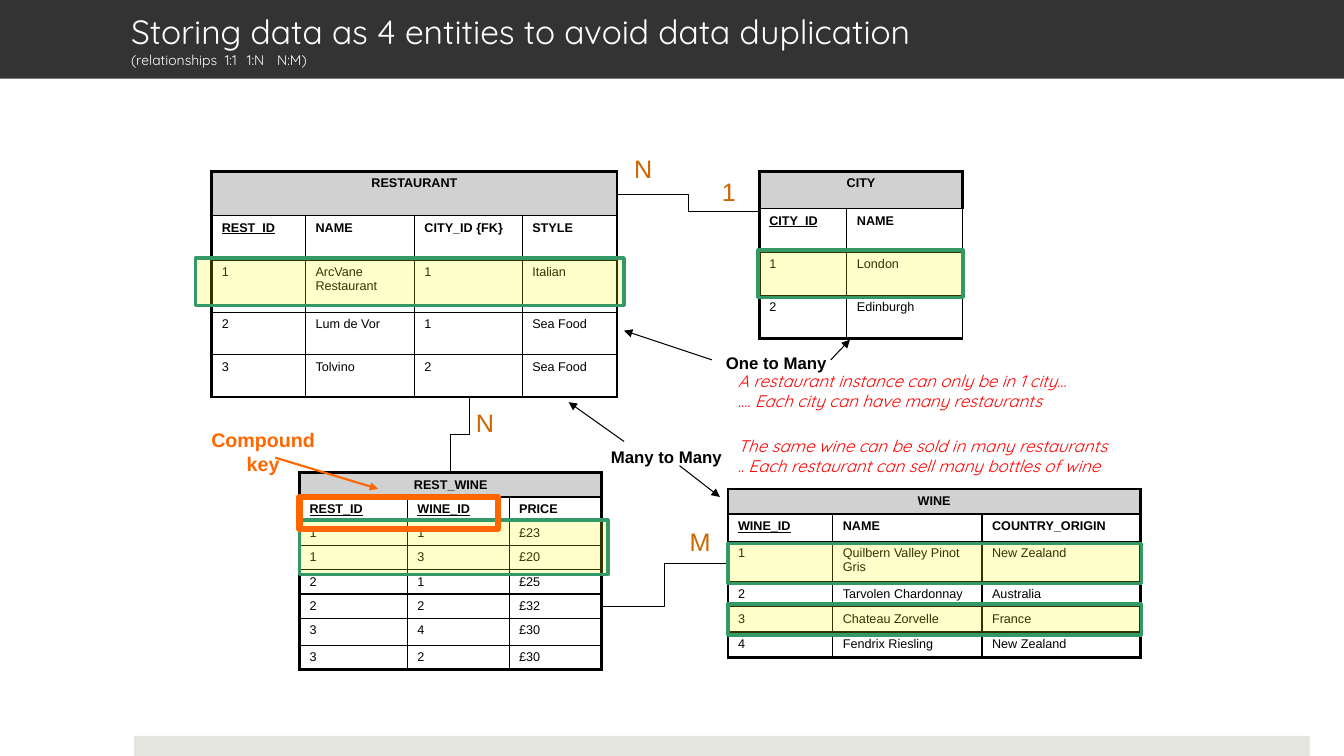
"""Build a slide showing four linked entity tables for restaurants and wines."""
from lxml import etree
from pptx import Presentation
from pptx.dml.color import RGBColor
from pptx.enum import shapes, text as txt
from pptx.oxml import ns, parse_xml
from pptx.util import Inches, Pt


class Theme:
    sans, round = "Arial", "Quicksand"
    black, white, bar, foot = "000000", "FFFFFF", "333333", "E4E6DE"
    head, mark, green = "D1D1D1", "FFFF00", "339966"
    card, key, red = "CC6600", "FF6600", "FF0000"
    title, sub, cell, note, call, big = 24, 10, 9, 12, 14, 18


def write(text, frame, size, color=Theme.black, font=Theme.sans,
          bold=False, italic=False, under=False, center=False):
    frame.text = text
    for para in frame.paragraphs:
        para.alignment = txt.PP_ALIGN.CENTER if center else txt.PP_ALIGN.LEFT
        for run in para.runs:
            face = run.font
            face.name, face.size = font, Pt(size)
            face.bold, face.italic, face.underline = bold, italic, under
            face.color.rgb = RGBColor.from_string(color)


def link(kind, ends, color=Theme.black, width=0.75, arrow=False):
    line = slide.shapes.add_connector(kind, *map(Inches, ends))
    line.line.color.rgb = RGBColor.from_string(color)
    line.line.width = Pt(width)
    props = line._element.spPr
    if arrow:
        etree.SubElement(props.find(ns.qn("a:ln")), ns.qn("a:tailEnd"), type="triangle")
    etree.SubElement(props, ns.qn("a:effectLst"))
    return line


deck = Presentation()
deck.slide_width, deck.slide_height = Inches(13.33), Inches(7.5)
slide = deck.slides.add_slide(deck.slide_layouts[6])

bars = []
for box, color in [((1.33, 7.3, 11.66, 0.2), Theme.foot), ((0, 0, 13.33, 0.78), Theme.bar)]:
    bar = slide.shapes.add_shape(shapes.MSO_SHAPE.RECTANGLE, *map(Inches, box))
    bar.shadow.inherit = False
    bar.fill.solid()
    bar.fill.fore_color.rgb = RGBColor.from_string(color)
    bar.line.fill.background()
    bars.append(bar)

frame = bars[-1].text_frame
frame.margin_left, frame.margin_right = Inches(1.3), Inches(0.3)
frame.vertical_anchor = txt.MSO_ANCHOR.MIDDLE
write("Storing data as 4 entities to avoid data duplication\v"
      "(relationships\t1:1\t1:N\tN:M)",
      frame, Theme.title, color=Theme.white, font=Theme.round)
para = frame.paragraphs[0]
para.runs[1].font.size = Pt(Theme.sub)
tabs = etree.SubElement(para._p.get_or_add_pPr(), ns.qn("a:tabLst"))
for stop in (0.93, 1.15, 1.45):
    etree.SubElement(tabs, ns.qn("a:tab"), pos=str(Inches(stop)), algn="l")

thick, thin = 2.25, 1
tables = [
    ("RESTAURANT", 2.1, 1.7, (0.93, 1.08, 1.07, 0.94), (0.44, 0.44, 0.52, 0.42, 0.42), 1, thick, [
        ("REST_ID", "NAME", "CITY_ID {FK}", "STYLE"),
        ("1", "ArcVane Restaurant", "1", "Italian"),
        ("2", "Lum de Vor", "1", "Sea Food"),
        ("3", "Tolvino", "2", "Sea Food")]),
    ("CITY", 7.53, 1.7, (0.87, 1.15), (0.37, 0.43, 0.43, 0.43), 1, thin, [
        ("CITY_ID", "NAME"),
        ("1", "London"),
        ("2", "Edinburgh")]),
    ("WINE", 7.22, 4.85, (1.04, 1.48, 1.57), (0.25, 0.27, 0.4, 0.25, 0.25, 0.25), 1, thick, [
        ("WINE_ID", "NAME", "COUNTRY_ORIGIN"),
        ("1", "Quilbern Valley Pinot Gris", "New Zealand"),
        ("2", "Tarvolen Chardonnay", "Australia"),
        ("3", "Chateau Zorvelle", "France"),
        ("4", "Fendrix Riesling", "New Zealand")]),
    ("REST_WINE", 2.97, 4.69, (1.07, 1.01, 0.92),
     (0.24, 0.24, 0.24, 0.24, 0.24, 0.24, 0.27, 0.24), 2, thick, [
        ("REST_ID", "WINE_ID", "PRICE"),
        ("1", "1", "£23"),
        ("1", "3", "£20"),
        ("2", "1", "£25"),
        ("2", "2", "£32"),
        ("3", "4", "£30"),
        ("3", "2", "£30")]),
]
for name, left, top, cols, rows, keys, side, data in tables:
    grid = slide.shapes.add_table(len(rows), len(cols), Inches(left), Inches(top),
                                  Inches(sum(cols)), Inches(sum(rows))).table
    grid.first_row = grid.horz_banding = False
    for col, width in zip(grid.columns, cols):
        col.width = Inches(width)
    for row, height in zip(grid.rows, rows):
        row.height = Inches(height)
    grid.cell(0, 0).merge(grid.cell(0, len(cols) - 1))
    for r in range(len(rows)):
        for c in range(len(cols)):
            cell = grid.cell(r, c)
            last = c == len(cols) - 1
            edges = {
                "L": thick if c == 0 else thin,
                "R": thick if r == 0 else side if last else thin,
                "T": thick if r == 0 else thin,
                "B": thick if r == len(rows) - 1 else thin,
            }
            props = cell._tc.get_or_add_tcPr()
            for edge, width in edges.items():
                props.append(parse_xml(
                    f'<a:ln{edge} {ns.nsdecls("a")} w="{Pt(width)}"><a:solidFill>'
                    f'<a:srgbClr val="{Theme.black}"/></a:solidFill></a:ln{edge}>'))
            if r == 0:
                cell.fill.solid()
                cell.fill.fore_color.rgb = RGBColor.from_string(Theme.head)
            else:
                cell.fill.background()
                write(data[r - 1][c], cell.text_frame, Theme.cell,
                      bold=r == 1, under=r == 1 and c < keys)
    write(name, grid.cell(0, 0).text_frame, Theme.cell, bold=True, center=True)

bent, direct = shapes.MSO_CONNECTOR.ELBOW, shapes.MSO_CONNECTOR.STRAIGHT
link(bent, (6.13, 1.93, 7.52, 2.1))
link(bent, (5.96, 6.02, 7.22, 5.59))
drop = link(bent, (4.18, 4.22, 4.94, 4.41))
drop._element.spPr.find(ns.qn("a:xfrm")).set("rot", str(90 * 60000))

boxes = [
    ((1.94, 2.56, 4.25, 0.47), True),
    ((2.97, 5.16, 3.06, 0.54), True),
    ((7.22, 5.39, 4.1, 0.4), True),
    ((7.22, 5.99, 4.1, 0.31), True),
    ((7.52, 2.48, 2.03, 0.47), True),
    ((2.97, 4.93, 1.97, 0.32), False),
]
for box, lit in boxes:
    mark = slide.shapes.add_shape(shapes.MSO_SHAPE.RECTANGLE, *map(Inches, box))
    mark.shadow.inherit = False
    mark.line.color.rgb = RGBColor.from_string(Theme.green if lit else Theme.key)
    mark.line.width = Pt(2.5 if lit else 4.5)
    if lit:
        mark.fill.solid()
        mark.fill.fore_color.rgb = RGBColor.from_string(Theme.mark)
        tint = mark._element.spPr.find(ns.qn("a:solidFill"))[0]
        etree.SubElement(tint, ns.qn("a:alpha"), val="20000")
    else:
        mark.fill.background()

card = dict(size=Theme.big, color=Theme.card, center=True)
bond = dict(size=Theme.note, bold=True, center=True)
call = dict(size=Theme.call, color=Theme.key, bold=True, center=True)
note = dict(size=Theme.note, color=Theme.red, font=Theme.round, italic=True)
labels = [
    ("1", (7.06, 1.7, 0.34, 0.4), False, card),
    ("N", (6.19, 1.47, 0.38, 0.4), False, card),
    ("N", (4.62, 3.99, 0.38, 0.4), False, card),
    ("M", (6.74, 5.17, 0.41, 0.4), False, card),
    ("Many to Many", (5.96, 4.38, 1.3, 0.3), False, bond),
    ("One to Many", (7.1, 3.45, 1.2, 0.3), False, bond),
    ("Compound key", (1.96, 4.2, 1.3, 0.57), True, call),
    ("A restaurant instance can only be in 1 city…\n"
     "…. Each city can have many restaurants", (7.22, 3.63, 3.8, 0.5), True, note),
    ("The same wine can be sold in many restaurants\v"
     ".. Each restaurant can sell many bottles of wine", (7.22, 4.27, 4.07, 0.5), True, note),
]
for words, box, wrap, style in labels:
    frame = slide.shapes.add_textbox(*map(Inches, box)).text_frame
    frame.word_wrap = wrap
    frame.auto_size = txt.MSO_AUTO_SIZE.SHAPE_TO_FIT_TEXT
    write(words, frame, **style)

for ends in [(6.19, 4.38, 5.64, 3.99), (6.74, 4.62, 7.14, 4.93),
             (8.24, 3.57, 8.43, 3.37), (7.06, 3.57, 6.19, 3.28)]:
    link(direct, ends, arrow=True)
link(direct, (2.73, 4.54, 3.75, 4.85), color=Theme.key, width=1.5, arrow=True)

deck.save("out.pptx")
